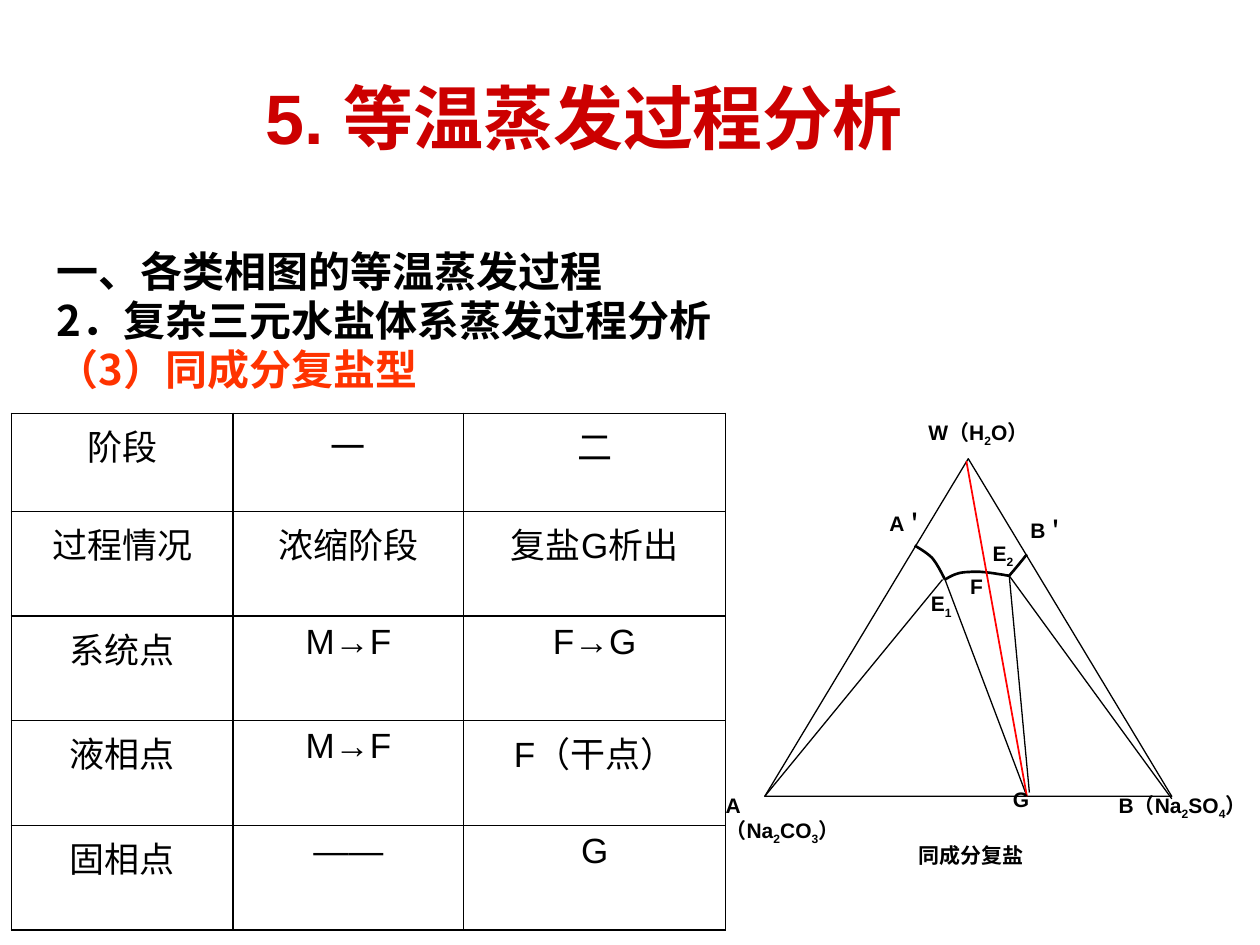
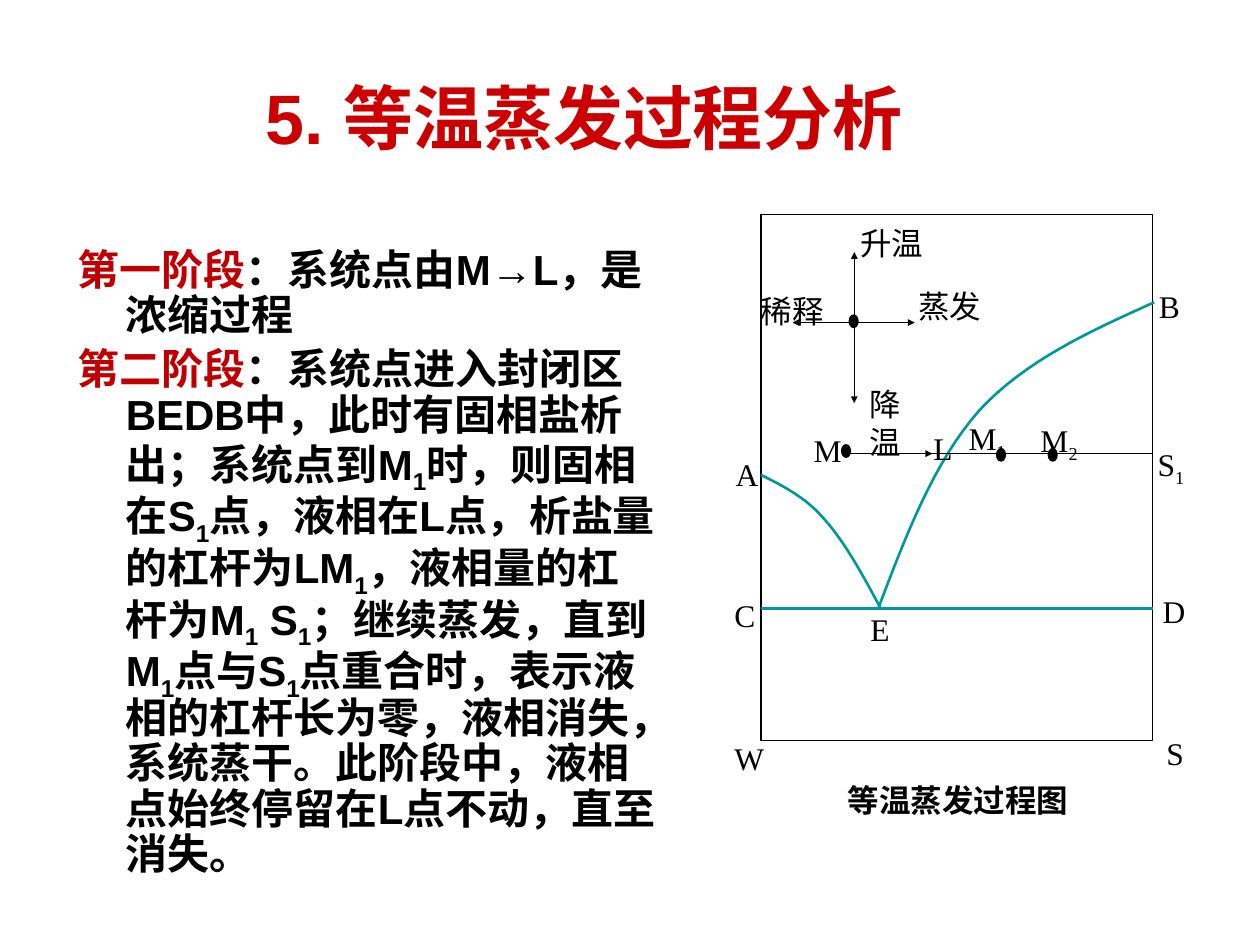
from dataclasses import dataclass

import pptx
import pptx.dml.color
import pptx.enum.shapes
import pptx.enum.text
import pptx.oxml
import pptx.oxml.ns
import pptx.util

PX = 9144  # EMU in one px, 100 px to the inch
BLACK, WHITE, RED = "000000", "FFFFFF", "FF0000"
TITLE_RED, STAGE_RED, ORANGE, TEAL = "CC0000", "C00000", "FF3300", "009999"
CJK_FONT = "Noto Sans CJK SC"
CURVE_STEPS = 16

MSO_SHAPE = pptx.enum.shapes.MSO_SHAPE
CENTER = pptx.enum.text.PP_ALIGN.CENTER
JUSTIFY = pptx.enum.text.PP_ALIGN.JUSTIFY

TITLE_FORMAT = {"name": "Arial", "size": pptx.util.Pt(40), "bold": True}
HEADING_FORMAT = {"name": CJK_FONT, "size": pptx.util.Pt(24), "bold": True}
BODY_FORMAT = {"name": "Arial", "size": pptx.util.Pt(24), "bold": True}
CELL_FORMAT = {"name": "Arial", "size": pptx.util.Pt(20), "bold": False}
TRIANGLE_LABEL_FORMAT = {"name": "Arial", "size": pptx.util.Pt(12), "bold": True}
CHART_LABEL_FORMAT = {"name": "Times New Roman", "size": pptx.util.Pt(18), "bold": False}
CAPTION_FORMAT = CHART_LABEL_FORMAT | {"bold": True}


@dataclass(frozen=True)
class Box:
    left: int
    top: int
    width: int
    height: int

    def emu(self) -> list[int]:
        return [px * PX for px in (self.left, self.top, self.width, self.height)]


@dataclass(frozen=True)
class Label:
    text: str
    left: int
    top: int
    width: int
    height: int


@dataclass(frozen=True)
class Line:
    start: tuple[int, int]
    end: tuple[int, int]
    color: str = BLACK
    weight: float = 0.75
    arrow: bool = False


@dataclass(frozen=True)
class Curve:
    """Bezier chain: a start point, then three points for each segment."""
    points: list[tuple[int, int]]
    color: str


def rgb(value: str) -> pptx.dml.color.RGBColor:
    return pptx.dml.color.RGBColor.from_string(value)


def set_line(line, color: str, weight: float) -> None:
    line.color.rgb = rgb(color)
    line.width = pptx.util.Pt(weight)


def add_text(paragraph, text: str, formats: dict, color: str = BLACK) -> None:
    """Add runs; the character after each underscore becomes a subscript."""
    first, *rest = text.split("_")
    pieces = [(first, False)]
    for part in rest:
        pieces += [(part[0], True), (part[1:], False)]
    for piece, subscript in pieces:
        if not piece:
            continue
        run = paragraph.add_run()
        run.text = piece
        for name, value in formats.items():
            setattr(run.font, name, value)
        run.font.color.rgb = rgb(color)
        properties = run._r.get_or_add_rPr()
        east_asian = pptx.oxml.parse_xml(
            f'<a:ea {pptx.oxml.ns.nsdecls("a")} typeface="{CJK_FONT}"/>')
        properties.append(east_asian)
        if subscript:
            properties.set("baseline", "-25000")


def add_text_frame(slide, box: Box):
    text_frame = slide.shapes.add_textbox(*box.emu()).text_frame
    text_frame.word_wrap = True
    return text_frame


def add_title(slide) -> None:
    text_frame = add_text_frame(slide, Box(201, 30, 749, 125))
    text_frame.vertical_anchor = pptx.enum.text.MSO_ANCHOR.MIDDLE
    add_text(text_frame.paragraphs[0], "5. 等温蒸发过程分析", TITLE_FORMAT, TITLE_RED)


def add_body(slide, box: Box, paragraphs: list, formats: dict) -> None:
    """Each paragraph is a line spacing and a list of (text, color)."""
    text_frame = add_text_frame(slide, box)
    for index, (spacing, parts) in enumerate(paragraphs):
        paragraph = text_frame.add_paragraph() if index else text_frame.paragraphs[0]
        paragraph.line_spacing = spacing
        if index:
            paragraph.space_before = pptx.util.Pt(4.8)
        properties = paragraph._p.get_or_add_pPr()
        properties.set("marL", str(38 * PX))
        properties.set("indent", str(-38 * PX))
        for text, color in parts:
            add_text(paragraph, text, formats, color)


def add_label(slide, label: Label, formats: dict, alignment=JUSTIFY) -> None:
    box = Box(label.left, label.top, label.width, label.height)
    paragraph = add_text_frame(slide, box).paragraphs[0]
    paragraph.alignment = alignment
    add_text(paragraph, label.text, formats)


def add_outline(slide, kind, box: Box, fill: str | None = None) -> None:
    shape = slide.shapes.add_shape(kind, *box.emu())
    shape.shadow.inherit = False
    if fill:
        shape.fill.solid()
        shape.fill.fore_color.rgb = rgb(fill)
    else:
        shape.fill.background()
    set_line(shape.line, BLACK, 0.75)


def add_dot(slide, left: int, top: int) -> None:
    add_outline(slide, MSO_SHAPE.OVAL, Box(left, top, 7, 10), BLACK)


def add_line(slide, line: Line) -> None:
    ends = [px * PX for px in line.start + line.end]
    connector = slide.shapes.add_connector(pptx.enum.shapes.MSO_CONNECTOR.STRAIGHT, *ends)
    set_line(connector.line, line.color, line.weight)
    namespace = pptx.oxml.ns.nsdecls("a")
    if line.arrow:
        connector.line._get_or_add_ln().append(pptx.oxml.parse_xml(
            f'<a:tailEnd {namespace} type="triangle" w="sm" len="sm"/>'))
    connector._element.spPr.append(pptx.oxml.parse_xml(f"<a:effectLst {namespace}/>"))


def bezier_point(controls: list, t: float) -> tuple[int, int]:
    weights = ((1 - t) ** 3, 3 * t * (1 - t) ** 2, 3 * t * t * (1 - t), t ** 3)
    x, y = (round(PX * sum(w * c[axis] for w, c in zip(weights, controls)))
            for axis in (0, 1))
    return x, y


def add_curve(slide, curve: Curve) -> None:
    points = curve.points
    vertices = [bezier_point(points[first:first + 4], step / CURVE_STEPS)
                for first in range(0, len(points) - 1, 3)
                for step in range(1, CURVE_STEPS + 1)]
    builder = slide.shapes.build_freeform(points[0][0] * PX, points[0][1] * PX)
    builder.add_line_segments(vertices, close=False)
    shape = builder.convert_to_shape()
    shape.shadow.inherit = False
    shape.fill.background()
    set_line(shape.line, curve.color, 1.5)


def format_cell(cell, text: str) -> None:
    properties = cell._tc.get_or_add_tcPr()
    for side in ("lnL", "lnR", "lnT", "lnB"):
        properties.append(pptx.oxml.parse_xml(
            f'<a:{side} {pptx.oxml.ns.nsdecls("a")} w="12700"><a:solidFill>'
            f'<a:srgbClr val="{BLACK}"/></a:solidFill></a:{side}>'))
    cell.fill.solid()
    cell.fill.fore_color.rgb = rgb(WHITE)
    paragraph = cell.text_frame.paragraphs[0]
    paragraph.alignment = CENTER
    add_text(paragraph, text, CELL_FORMAT)


def add_stage_table(slide) -> None:
    rows = [
        ("阶段", "一", "二"),
        ("过程情况", "浓缩阶段", "复盐G析出"),
        ("系统点", "M→F", "F→G"),
        ("液相点", "M→F", "F（干点）"),
        ("固相点", "——", "G"),
    ]
    widths, heights = [176, 183, 208], [78] + [83] * 4
    box = Box(9, 328, sum(widths), sum(heights))
    table = slide.shapes.add_table(len(rows), len(widths), *box.emu()).table
    table.first_row = table.horz_banding = False
    for column, width in zip(table.columns, widths):
        column.width = width * PX
    for row, height, texts in zip(table.rows, heights, rows):
        row.height = height * PX
        for cell, text in zip(row.cells, texts):
            format_cell(cell, text)


def add_triangle_diagram(slide) -> None:
    add_outline(slide, MSO_SHAPE.ISOSCELES_TRIANGLE, Box(607, 364, 323, 268), WHITE)
    e1, e2, g = (750, 460), (801, 457), (815, 632)
    for points in (
        [(726, 433), (731, 436), (736, 439), (740, 443), (744, 448), (747, 454), e1],
        [e1, (755, 457), (760, 454), (769, 454), (778, 453), (789, 455), e2],
        [e2, e2, (808, 449), (815, 440)],
    ):
        add_curve(slide, Curve(points, BLACK))
    for line in (
        Line((748, 460), (607, 632)),
        Line(e1, g),
        Line(e2, (817, 629)),
        Line(e2, (930, 634)),
        Line((767, 366), g, RED, 1),
    ):
        add_line(slide, line)
    add_label(slide, Label("同成分复盐", 666, 664, 209, 57), TRIANGLE_LABEL_FORMAT, CENTER)
    corners = [
        Label("A（Na_2CO_3）", 566, 624, 122, 47),
        Label("B（Na_2SO_4）", 878, 624, 122, 47),
        Label("W（H_2O）", 727, 328, 104, 42),
    ]
    points = [Label(text, left, top, 51, 57) for text, left, top in (
        ("A＇", 696, 400), ("B＇", 808, 406), ("E_1", 729, 464),
        ("E_2", 778, 424), ("F", 760, 450), ("G", 794, 619))]
    for label in corners + points:
        add_label(slide, label, TRIANGLE_LABEL_FORMAT)


def add_evaporation_diagram(slide) -> None:
    add_label(slide, Label("稀释", 594, 227, 97, 114), CHART_LABEL_FORMAT)
    add_outline(slide, MSO_SHAPE.RECTANGLE, Box(604, 170, 311, 418))
    add_line(slide, Line((604, 483), (915, 483), TEAL, 1.5))
    for points in (
        [(604, 377), (622, 386), (640, 395), (655, 413), (671, 431), (685, 457), (699, 483)],
        [(697, 483), (719, 425), (741, 367), (777, 326), (814, 286), (865, 263), (916, 240)],
    ):
        add_curve(slide, Curve(points, TEAL))
    add_dot(slide, 668, 353)
    add_line(slide, Line((669, 360), (915, 360)))
    for start, end in (
        ((673, 360), (740, 360)),
        ((678, 256), (726, 256)),
        ((675, 256), (629, 256)),
        ((678, 260), (678, 320)),
        ((678, 256), (678, 200)),
    ):
        add_line(slide, Line(start, end, arrow=True))
    points = [Label(text, left, top, 74, 114) for text, left, top in (
        ("A", 574, 356), ("C", 573, 468), ("W", 573, 582), ("E", 681, 479),
        ("D", 913, 465), ("S", 916, 578), ("S_1", 909, 348), ("M", 636, 337),
        ("L", 731, 336), ("B", 910, 223), ("M_1", 759, 328), ("M_2", 816, 329))]
    directions = [
        Label("升温", 673, 173, 97, 114),
        Label("蒸发", 719, 223, 97, 114),
        Label("降温", 680, 301, 60, 114),
    ]
    for label in points + directions:
        add_label(slide, label, CHART_LABEL_FORMAT)
    for left, top in ((674, 250), (791, 356), (832, 356)):
        add_dot(slide, left, top)
    add_label(slide, Label("等温蒸发过程图", 625, 615, 271, 39), CAPTION_FORMAT, CENTER)


def build_double_salt_slide(slide) -> None:
    add_body(slide, Box(35, 178, 821, 89), [
        (1.3, [("一、各类相图的等温蒸发过程", BLACK)]),
        (0.8, [("2．复杂三元水盐体系蒸发过程分析", BLACK)]),
        (0.8, [("（3）同成分复盐型", ORANGE)]),
    ], HEADING_FORMAT)
    add_stage_table(slide)
    add_triangle_diagram(slide)


def build_stages_slide(slide) -> None:
    second_stage = (
        "：系统点进入封闭区BEDB中，此时有固相盐析出；系统点到M_1时，则固相在S_1点，"
        "液相在L点，析盐量的杠杆为LM_1，液相量的杠杆为M_1 S_1；继续蒸发，"
        "直到M_1点与S_1点重合时，表示液相的杠杆长为零，液相消失，系统蒸干。"
        "此阶段中，液相点始终停留在L点不动，直至消失。")
    add_body(slide, Box(52, 193, 479, 527), [
        (0.9, [("第一阶段", STAGE_RED), ("：系统点由M→L，是浓缩过程", BLACK)]),
        (0.9, [("第二阶段", STAGE_RED), (second_stage, BLACK)]),
    ], BODY_FORMAT)
    add_evaporation_diagram(slide)


def main() -> None:
    presentation = pptx.Presentation()
    presentation.slide_width, presentation.slide_height = 1000 * PX, 750 * PX
    for build in (build_double_salt_slide, build_stages_slide):
        slide = presentation.slides.add_slide(presentation.slide_layouts[6])
        add_title(slide)
        build(slide)
    presentation.save("out.pptx")


if __name__ == "__main__":
    main()
